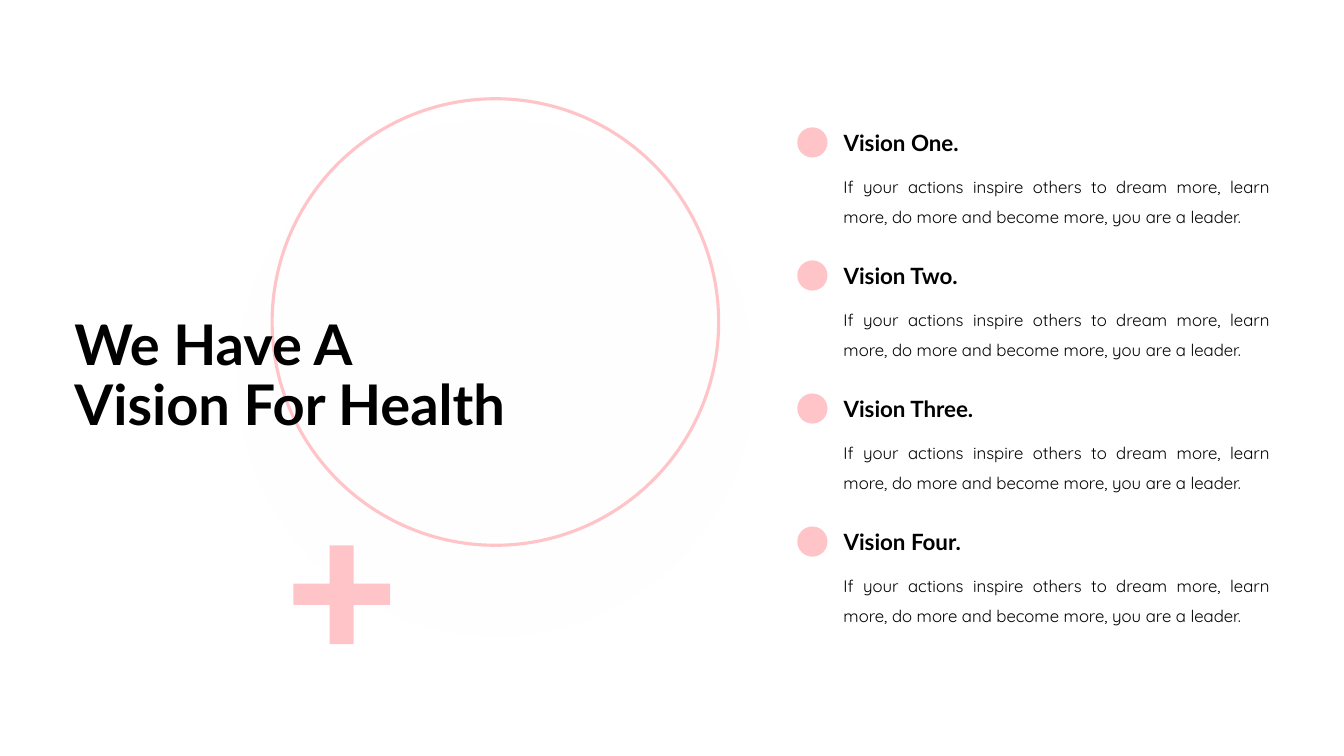
from dataclasses import dataclass

from lxml import etree
from pptx import Presentation
from pptx.dml.color import RGBColor
from pptx.enum.shapes import MSO_SHAPE
from pptx.enum.text import MSO_ANCHOR, MSO_AUTO_SIZE, PP_ALIGN
from pptx.oxml.ns import qn
from pptx.shapes.autoshape import Shape
from pptx.slide import Slide
from pptx.util import Emu, Inches, Pt

OVAL = MSO_SHAPE.OVAL
TOP = MSO_ANCHOR.TOP
MIDDLE = MSO_ANCHOR.MIDDLE
GROW = MSO_AUTO_SIZE.SHAPE_TO_FIT_TEXT
FIXED = MSO_AUTO_SIZE.NONE
LEFT = PP_ALIGN.LEFT
JUSTIFY = PP_ALIGN.JUSTIFY

PINK = RGBColor(0xFF, 0xC4, 0xC8)
WHITE = RGBColor(0xFF, 0xFF, 0xFF)
BLACK = RGBColor(0, 0, 0)

COLS, ROWS = 160, 90
CELL = Inches(7.5) / ROWS


@dataclass(frozen=True)
class Box:
    col: float
    row: float
    wide: float
    high: float


@dataclass(frozen=True)
class Style:
    font: str
    size: float
    bold: bool = False
    align: PP_ALIGN = LEFT
    space: float = 1.0
    anchor: MSO_ANCHOR = MIDDLE
    fit: MSO_AUTO_SIZE = GROW


TITLE = Style("Lato", 40, bold=True, space=0.9, fit=FIXED)
HEAD = Style("Lato", 16, bold=True)
BODY = Style("Quicksand", 12, align=JUSTIFY, space=1.5, anchor=TOP)

VISIONS = ("Vision One.", "Vision Two.", "Vision Three.", "Vision Four.")
QUOTE = ("If your actions inspire others to dream more, learn more, "
         "do more and become more, you are a leader.")
FIRST, PITCH = 14.76, 15.84


def cells(count: float) -> Emu:
    return Emu(round(count * CELL))


def frame(box: Box) -> tuple[Emu, Emu, Emu, Emu]:
    return cells(box.col), cells(box.row), cells(box.wide), cells(box.high)


def paint(shape: Shape) -> None:
    shape.shadow.inherit = False
    shape.fill.solid()
    shape.fill.fore_color.rgb = PINK
    shape.line.fill.background()


def add_oval(slide: Slide, box: Box) -> Shape:
    oval = slide.shapes.add_shape(OVAL, *frame(box))
    paint(oval)
    return oval


def add_text(slide: Slide, box: Box, lines: tuple[str, ...], style: Style) -> None:
    text = slide.shapes.add_textbox(*frame(box)).text_frame
    text.word_wrap = True
    text.auto_size = style.fit
    text.vertical_anchor = style.anchor
    para = text.paragraphs[0]
    para.alignment = style.align
    para.line_spacing = style.space
    for index, line in enumerate(lines):
        if index:
            para.add_line_break()
        run = para.add_run()
        run.text = line
        run.font.name = style.font
        run.font.size = Pt(style.size)
        run.font.bold = style.bold
        run.font.color.rgb = BLACK


def add_disc(slide: Slide) -> None:
    disc = add_oval(slide, Box(28.32, 14.28, 61.32, 61.32))
    disc.rotation = 90
    disc.fill.gradient()
    disc.fill.gradient_angle = 270
    for stop, share in zip(disc.fill.gradient_stops, (0, 70)):
        stop.color.rgb = WHITE
        stop.position = 1 if share else 0
    tints = disc.fill._xPr.iter(qn("a:srgbClr"))
    for tint, share in zip(list(tints), (0, 70)):
        etree.SubElement(tint, qn("a:alpha")).set("val", str(share * 1000))


def add_ring(slide: Slide) -> None:
    ring = add_oval(slide, Box(32.4, 11.76, 53.16, 53.16))
    ring.fill.background()
    ring.line.color.rgb = PINK
    ring.line.width = Pt(2.25)


def add_cross(slide: Slide) -> None:
    west, left, right, east = map(cells, (34.92, 39.24, 42.12, 46.44))
    north, upper, lower, south = map(cells, (64.92, 69.48, 72, 76.68))
    points = (
        (right, north), (right, upper), (east, upper), (east, lower),
        (right, lower), (right, south), (left, south), (left, lower),
        (west, lower), (west, upper), (left, upper),
    )
    pen = slide.shapes.build_freeform(left, north)
    pen.add_line_segments(points, close=True)
    paint(pen.convert_to_shape())


def add_vision(slide: Slide, row: float, name: str) -> None:
    add_text(slide, Box(99.24, row, 34.2, 4.44), (name,), HEAD)
    add_text(slide, Box(99.24, row + 4.44, 53.16, 8.52), (QUOTE,), BODY)
    add_oval(slide, Box(94.92, row + 0.4, 3.6, 3.6))


def main() -> None:
    deck = Presentation()
    deck.slide_width = cells(COLS)
    deck.slide_height = cells(ROWS)
    slide = deck.slides.add_slide(deck.slide_layouts[6])
    add_disc(slide)
    add_ring(slide)
    add_cross(slide)
    for index, name in enumerate(VISIONS):
        add_vision(slide, FIRST + index * PITCH, name)
    add_text(slide, Box(7.68, 36.24, 60.96, 17.4),
             ("We Have A", "Vision For Health"), TITLE)
    deck.save("out.pptx")


if __name__ == "__main__":
    main()
